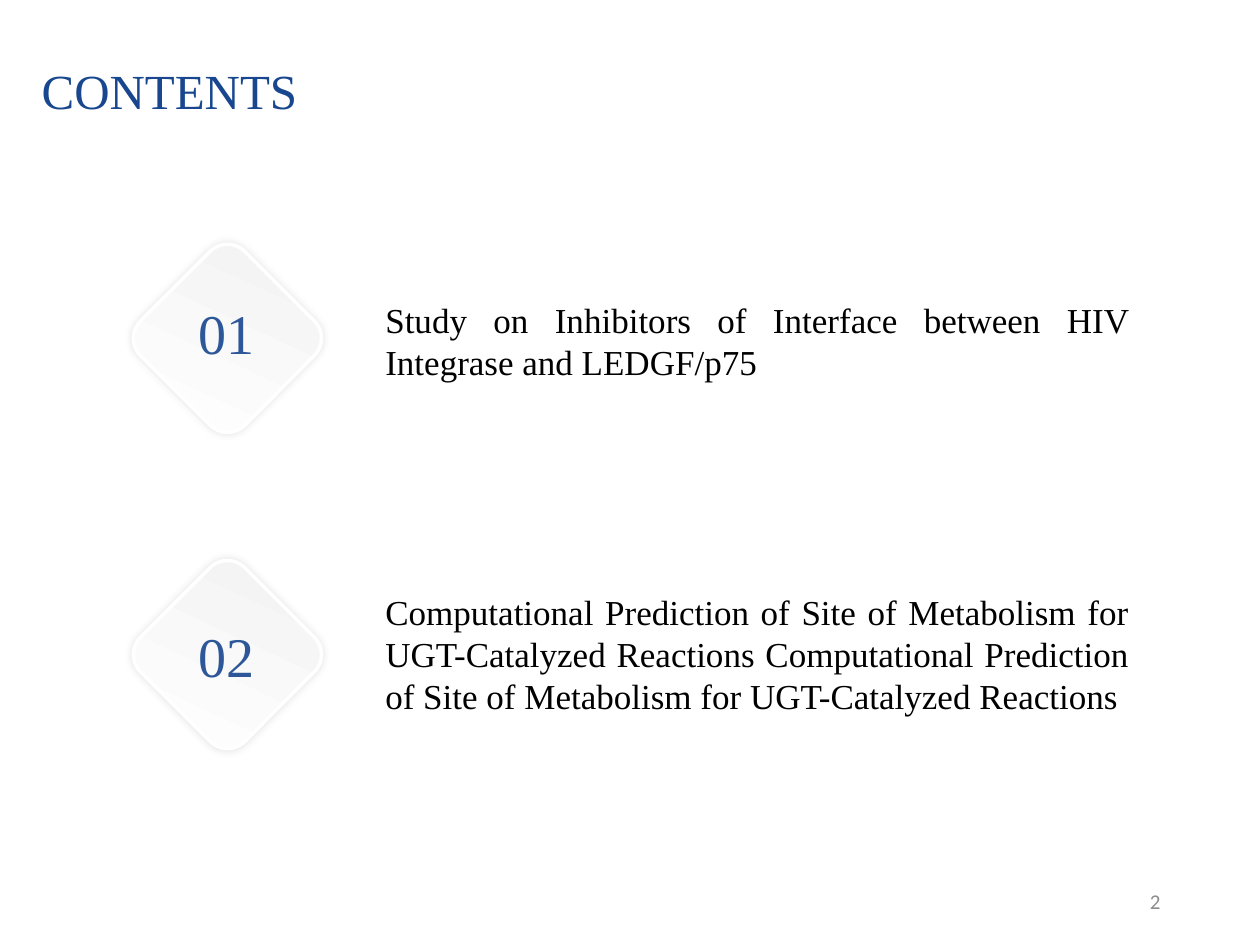
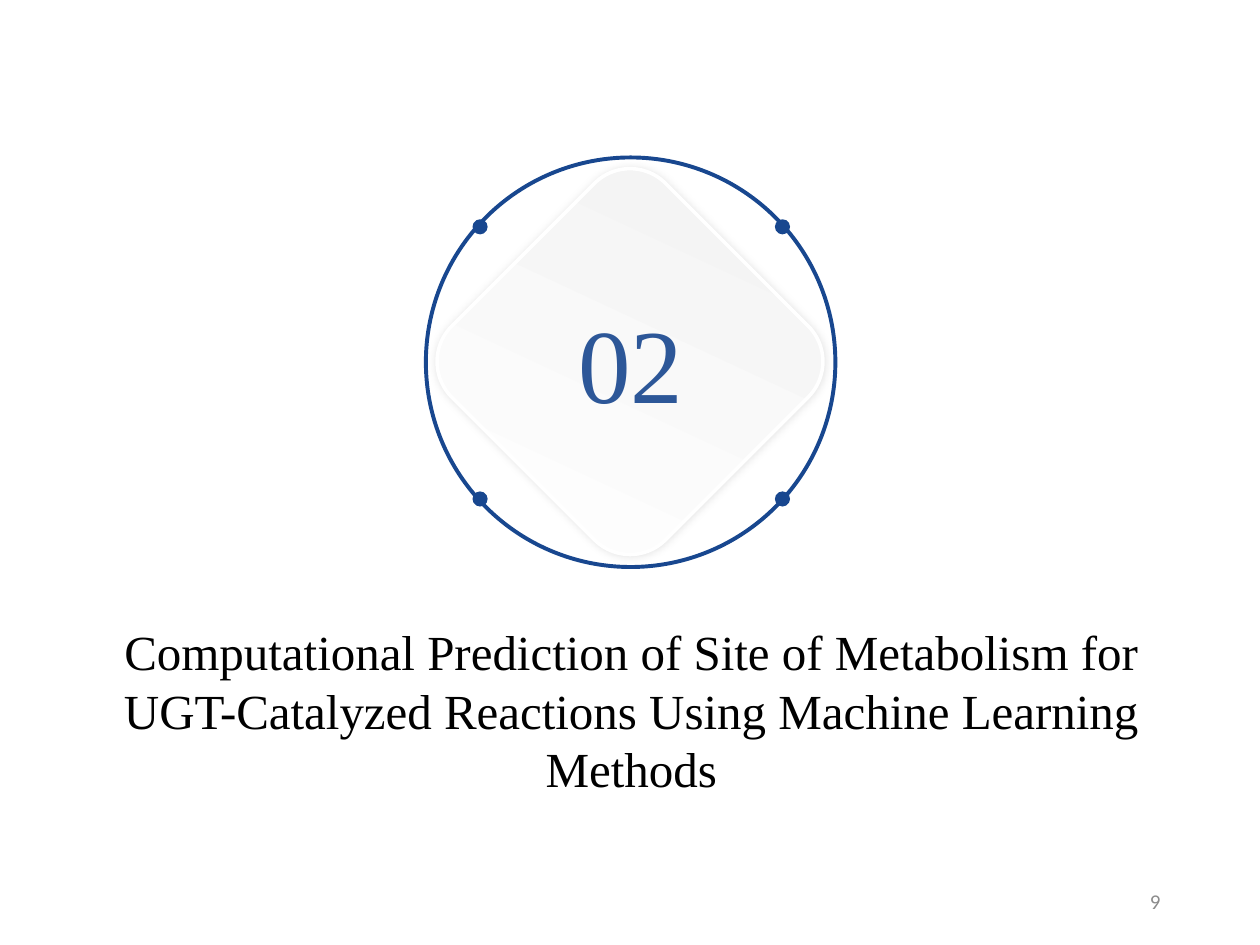
from itertools import product

from lxml import etree
from pptx import Presentation
from pptx import util as u
from pptx.dml.color import RGBColor
from pptx.enum import shapes, text
from pptx.oxml import ns

COLORS = {
    "blue": "18478F",
    "number": "2D5798",
    "text": "000000",
    "page": "8C8C8C",
    "white": "FFFFFF",
    "tile": "F2F2F2",
}
SERIF = "Times New Roman"
SANS = "Calibri"
ALIGN = text.PP_ALIGN
TITLE_ONLY = 5


def rgb(name):
    return RGBColor.from_string(COLORS[name])


class Deck:
    """Holds the shared style and the slide being built."""

    def __init__(self):
        self.presentation = Presentation()
        self.presentation.slide_width = u.Inches(10)
        self.presentation.slide_height = u.Inches(7.5)
        self.slide = None

    def new_slide(self, page):
        layout = self.presentation.slide_layouts[TITLE_ONLY]
        self.slide = self.presentation.slides.add_slide(layout)
        self.label(page, 7.06, 6.95, 2.25, 0.4, 12, "page", ALIGN.RIGHT,
                   font=SANS, anchor=text.MSO_ANCHOR.MIDDLE)

    def set_text(self, shape, words, size, color, align, font=SERIF,
                 anchor=text.MSO_ANCHOR.TOP, wrap=True):
        frame = shape.text_frame
        frame.word_wrap = wrap
        frame.auto_size = text.MSO_AUTO_SIZE.NONE
        frame.vertical_anchor = anchor
        paragraph = frame.paragraphs[0]
        paragraph.text = words
        paragraph.alignment = align
        paragraph.font.name = font
        paragraph.font.size = u.Pt(size)
        paragraph.font.color.rgb = rgb(color)

    def title(self, words, left, top, width, height, color):
        shape = self.slide.shapes.title
        shape.left, shape.top = u.Inches(left), u.Inches(top)
        shape.width, shape.height = u.Inches(width), u.Inches(height)
        self.set_text(shape, words, 28, color, ALIGN.CENTER)

    def label(self, words, left, top, width, height, size, color, align, **style):
        box = self.slide.shapes.add_textbox(
            u.Inches(left), u.Inches(top), u.Inches(width), u.Inches(height))
        self.set_text(box, words, size, color, align, **style)

    def number(self, words, left, top, width, height, size):
        self.label(words, left, top, width, height, size, "number", ALIGN.LEFT,
                   wrap=False)

    def shape(self, kind, left, top, side):
        shape = self.slide.shapes.add_shape(
            kind, u.Inches(left), u.Inches(top), u.Inches(side), u.Inches(side))
        shape.shadow.inherit = False
        return shape

    def diamond(self, left, top, side):
        """Rounded square on its corner, with a pale gradient and soft shadow."""
        shape = self.shape(shapes.MSO_SHAPE.ROUNDED_RECTANGLE, left, top, side)
        shape.rotation = 45
        shape.fill.gradient()
        shape.fill.gradient_angle = 110
        for stop, color in zip(shape.fill.gradient_stops, ("white", "tile")):
            stop.color.rgb = rgb(color)
        shape.line.color.rgb = rgb("white")
        shape.line.width = u.Pt(2)
        effects = shape.element.spPr.find(ns.qn("a:effectLst"))
        shadow = etree.SubElement(effects, ns.qn("a:outerShdw"),
                                  blurRad=str(u.Pt(5)), dist="0", dir="0")
        color = etree.SubElement(shadow, ns.qn("a:srgbClr"), val=COLORS["text"])
        etree.SubElement(color, ns.qn("a:alpha"), val="11000")

    def ring(self, left, top, side):
        shape = self.shape(shapes.MSO_SHAPE.OVAL, left, top, side)
        shape.fill.background()
        shape.line.color.rgb = rgb("blue")
        shape.line.width = u.Pt(2.25)

    def dot(self, left, top, side):
        shape = self.shape(shapes.MSO_SHAPE.OVAL, left, top, side)
        shape.fill.solid()
        shape.fill.fore_color.rgb = rgb("blue")
        shape.line.fill.background()


def contents_slide(deck):
    deck.new_slide("2")
    deck.title("CONTENTS", 0.18, 0.43, 2.33, 0.57, "blue")

    # Numbered topics: tile top, number top, topic top, topic height
    topics = [
        ("01", 2.1, 2.32, 2.32, 0.77,
         "Study on Inhibitors of Interface between HIV Integrase and LEDGF/p75"),
        ("02", 4.61, 4.88, 4.64, 1.11,
         "Computational Prediction of Site of Metabolism for UGT-Catalyzed "
         "Reactions Computational Prediction of Site of Metabolism for "
         "UGT-Catalyzed Reactions"),
    ]
    for number, tile_top, number_top, topic_top, topic_height, topic in topics:
        deck.diamond(1.22, tile_top, 1.17)
        deck.number(number, 1.48, number_top, 0.65, 0.64, 32)
        deck.label(topic, 2.96, topic_top, 6.1, topic_height, 20, "text",
                   ALIGN.JUSTIFY)


def section_slide(deck):
    deck.new_slide("9")

    # Emblem: tile, ring and four dots on the ring
    deck.diamond(3.8, 1.67, 2.4)
    deck.ring(3.38, 1.25, 3.25)
    for left, top in product((3.75, 6.15), (1.74, 3.9)):
        deck.dot(left, top, 0.12)
    deck.number("02", 4.49, 2.32, 1.04, 1.11, 60)

    # Section name
    deck.title("Computational Prediction of Site of Metabolism for UGT-Catalyzed "
               "Reactions Using Machine Learning Methods",
               0.45, 4.88, 9.12, 1.51, "text")


def main():
    deck = Deck()
    contents_slide(deck)
    section_slide(deck)
    deck.presentation.save("out.pptx")


if __name__ == "__main__":
    main()
